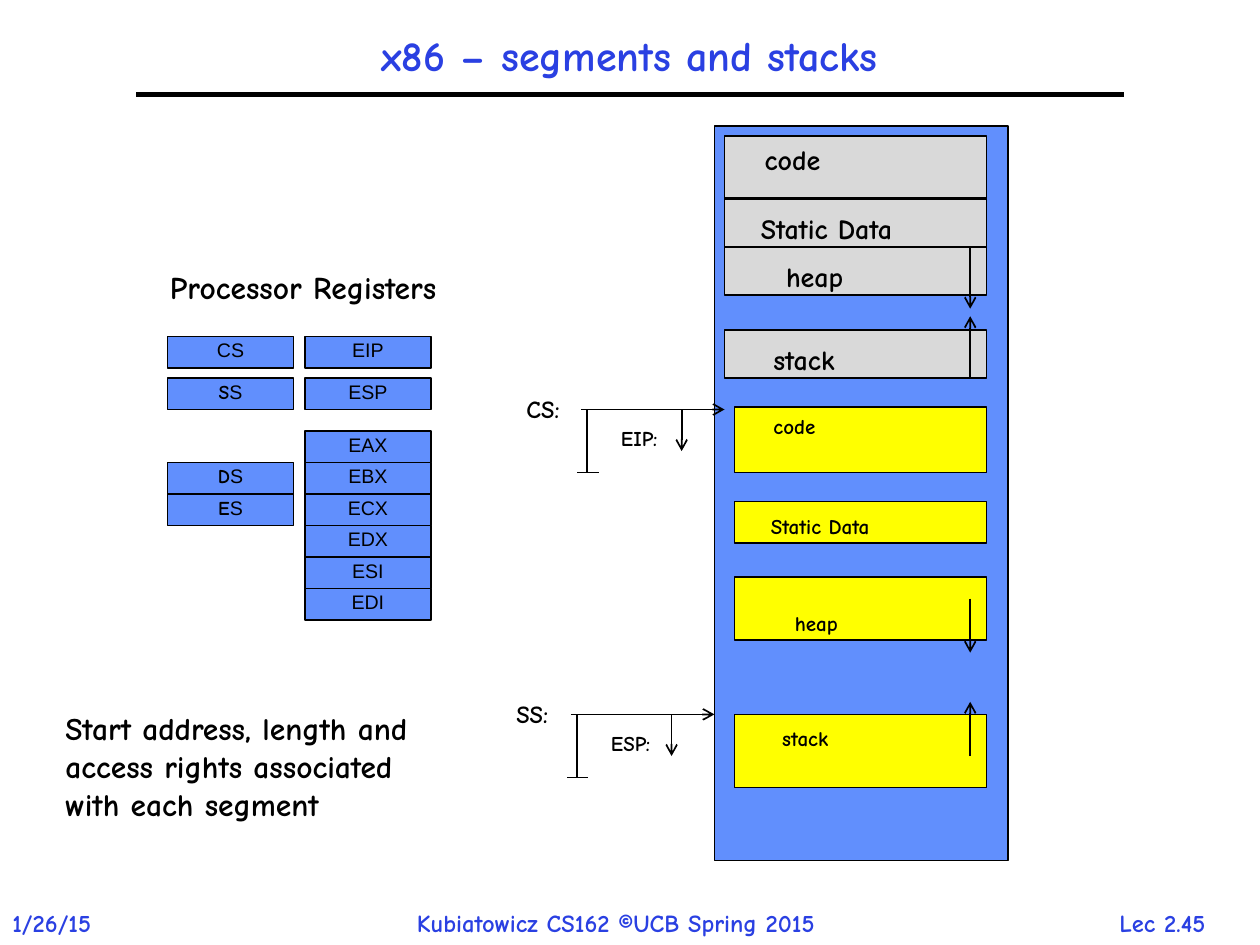
from lxml.etree import SubElement
from pptx import Presentation
from pptx.dml.color import RGBColor
from pptx.enum.shapes import MSO_CONNECTOR, MSO_SHAPE
from pptx.enum.text import MSO_ANCHOR, PP_ALIGN
from pptx.oxml.ns import qn
from pptx.util import Inches, Pt

COLORS = {"ink": "000000", "title": "2A40E2", "blue": "618FFD",
          "gray": "D9D9D9", "yellow": "FFFF00"}
HAND = "Comic Neue"

deck = Presentation()
deck.slide_width, deck.slide_height = Inches(10), Inches(7.5)
slide = deck.slides.add_slide(deck.slide_layouts[6])
shapes = slide.shapes


def add_block(left, top, width, height, color):
    block = shapes.add_shape(MSO_SHAPE.RECTANGLE, Inches(left), Inches(top),
                             Inches(width), Inches(height))
    block.shadow.inherit = False
    block.fill.solid()
    block.fill.fore_color.rgb = RGBColor.from_string(COLORS[color])
    block.line.color.rgb = RGBColor.from_string(COLORS["ink"])
    block.line.width = Pt(1)
    return block


def add_label(text, left, top, width, height, size, color="ink", align=PP_ALIGN.LEFT):
    frame = shapes.add_textbox(Inches(left), Inches(top),
                               Inches(width), Inches(height)).text_frame
    frame.word_wrap = True
    paragraph = frame.paragraphs[0]
    paragraph.text = text
    paragraph.alignment = align
    paragraph.font.name = HAND
    paragraph.font.size = Pt(size)
    paragraph.font.bold = True
    paragraph.font.color.rgb = RGBColor.from_string(COLORS[color])
    return frame


add_label("1/26/15", 0, 7.16, 1, 0.34, 14, "title")
add_label("Kubiatowicz CS162 ©UCB Spring 2015", 3.21, 7.16, 3.87, 0.34, 14, "title")
add_label("Lec 2.45", 8.62, 7.16, 1.21, 0.33, 14, "title", PP_ALIGN.CENTER)
title = add_label("x86 – segments and stacks", 1.08, 0.17, 7.83, 0.58, 24,
                  "title", PP_ALIGN.CENTER)
title.vertical_anchor = MSO_ANCHOR.MIDDLE
title.paragraphs[0].line_spacing = 0.9

segment_registers = [("", "CS", 2.67), ("S", "S", 3), ("D", "S", 3.67), ("E", "S", 3.92)]
general_registers = [("", "EIP", 2.67), ("", "ESP", 3)]
for row, name in enumerate(["EAX", "EBX", "ECX", "EDX", "ESI", "EDI"]):
    general_registers.append(("", name, 3.42 + 0.25 * row))

for left, registers in [(1.33, segment_registers), (2.42, general_registers)]:
    for initial, rest, top in registers:
        frame = add_block(left, top, 1, 0.25, "blue").text_frame
        frame.vertical_anchor = MSO_ANCHOR.TOP
        paragraph = frame.paragraphs[0]
        paragraph.alignment = PP_ALIGN.CENTER
        paragraph.line_spacing = 0.8
        paragraph.font.size = Pt(11.2)
        paragraph.font.name = "Arial"
        paragraph.font.color.rgb = RGBColor.from_string(COLORS["ink"])
        if initial:
            run = paragraph.add_run()
            run.text = initial
            run.font.name = HAND
            run.font.bold = True
        paragraph.add_run().text = rest

add_block(5.67, 1, 2.33, 5.83, "blue")

flat_segments = [
    ("code", 1.08, 0.49, 5.97, 1.08, 0.78),
    ("Static Data", 1.58, 0.38, 5.94, 1.63, 1.48),
    ("heap", 1.96, 0.38, 6.14, 2.01, 0.8),
    ("stack", 2.62, 0.38, 6.04, 2.67, 0.84),
]
separate_segments = [
    ("code", 3.23, 0.52, 6.04, 3.23, 0.65),
    ("Static Data", 3.98, 0.33, 6.02, 4.03, 1.17),
    ("heap", 4.58, 0.5, 6.21, 4.8, 0.66),
    ("stack", 5.67, 0.58, 6.11, 5.71, 0.68),
]
for segments, left, width, color, size in [(flat_segments, 5.75, 2.08, "gray", 16),
                                           (separate_segments, 5.83, 2, "yellow", 12)]:
    for name, top, height, label_left, label_top, label_width in segments:
        add_block(left, top, width, height, color)
        add_label(name, label_left, label_top, label_width, 0.3, size)

lines = [
    (1.08, 0.75, 8.92, 0.75, 3, False),
    (7.7, 3, 7.7, 2.51, 1, True),
    (7.7, 1.96, 7.7, 2.45, 1, True),
    (7.7, 6, 7.7, 5.57, 1, True),
    (7.7, 4.75, 7.7, 5.18, 1, True),
]
pointers = [("CS:", "EIP:", 4.08, 3.25, 5.75, 0.52), ("SS:", "ESP:", 4, 5.67, 5.67, 0.59)]
for base, offset, left, top, tip, offset_width in pointers:
    add_label(base, left, top - 0.17, 0.53, 0.34, 14)
    add_label(offset, left + 0.75, top + 0.08, offset_width, 0.3, 12)
    lines += [
        (left + 0.53, top, tip, top, 1, True),
        (left + 0.58, top, left + 0.58, top + 0.5, 1, False),
        (left + 0.5, top + 0.5, left + 0.67, top + 0.5, 1, False),
        (left + 1.33, top, left + 1.33, top + 0.33, 1, True),
    ]

for x1, y1, x2, y2, weight, has_arrow in lines:
    line = shapes.add_connector(MSO_CONNECTOR.STRAIGHT, Inches(x1), Inches(y1),
                                Inches(x2), Inches(y2))
    line.line.color.rgb = RGBColor.from_string(COLORS["ink"])
    line.line.width = Pt(weight)
    if has_arrow:
        SubElement(line.line._get_or_add_ln(), qn("a:tailEnd"), type="arrow")
    SubElement(line._element.spPr, qn("a:effectLst"))

add_label("Processor Registers", 1.25, 2.08, 2.67, 0.4, 18)
add_label("Start address, length and access rights associated with each segment",
          0.42, 5.58, 3.08, 1.01, 18)

deck.save("out.pptx")
